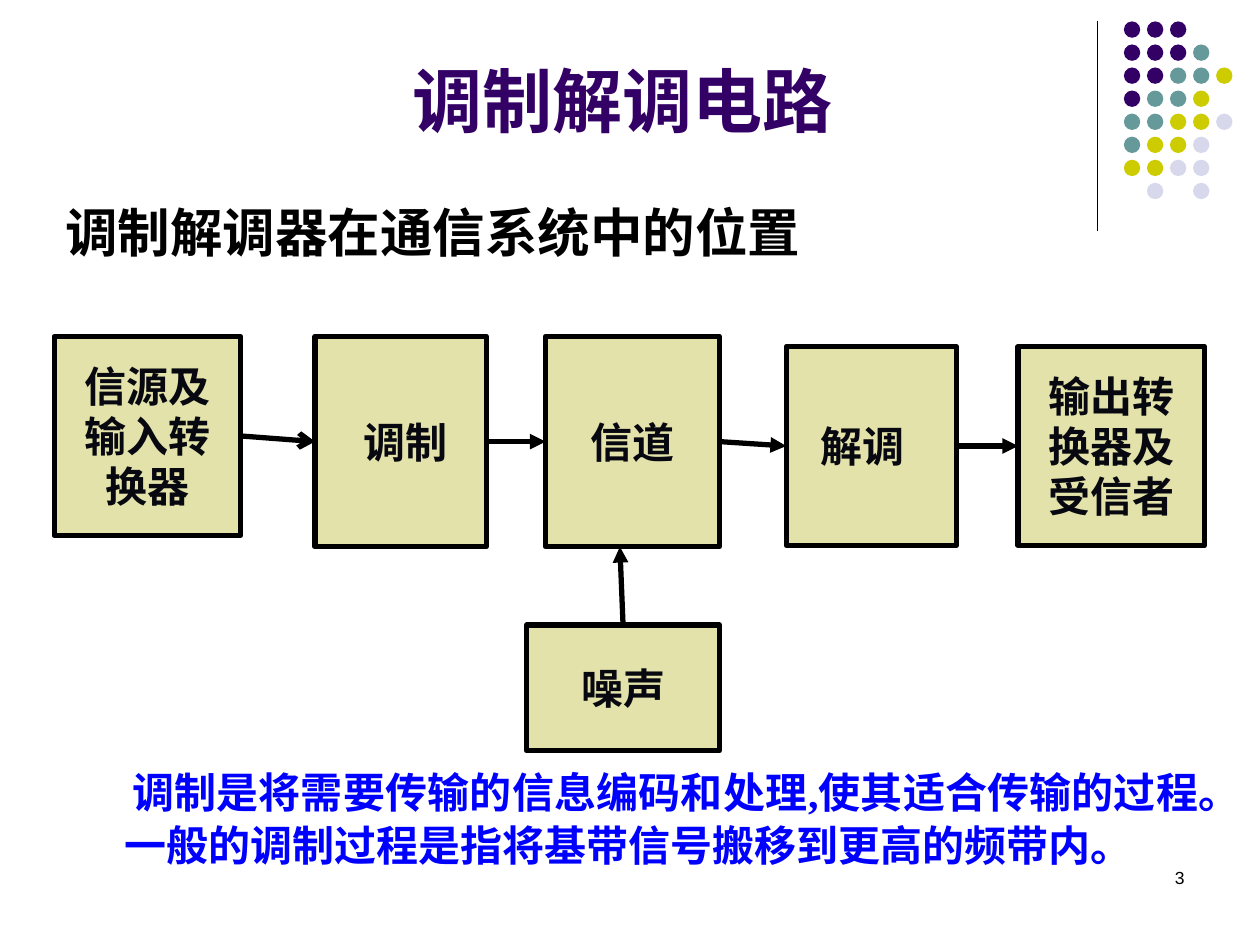
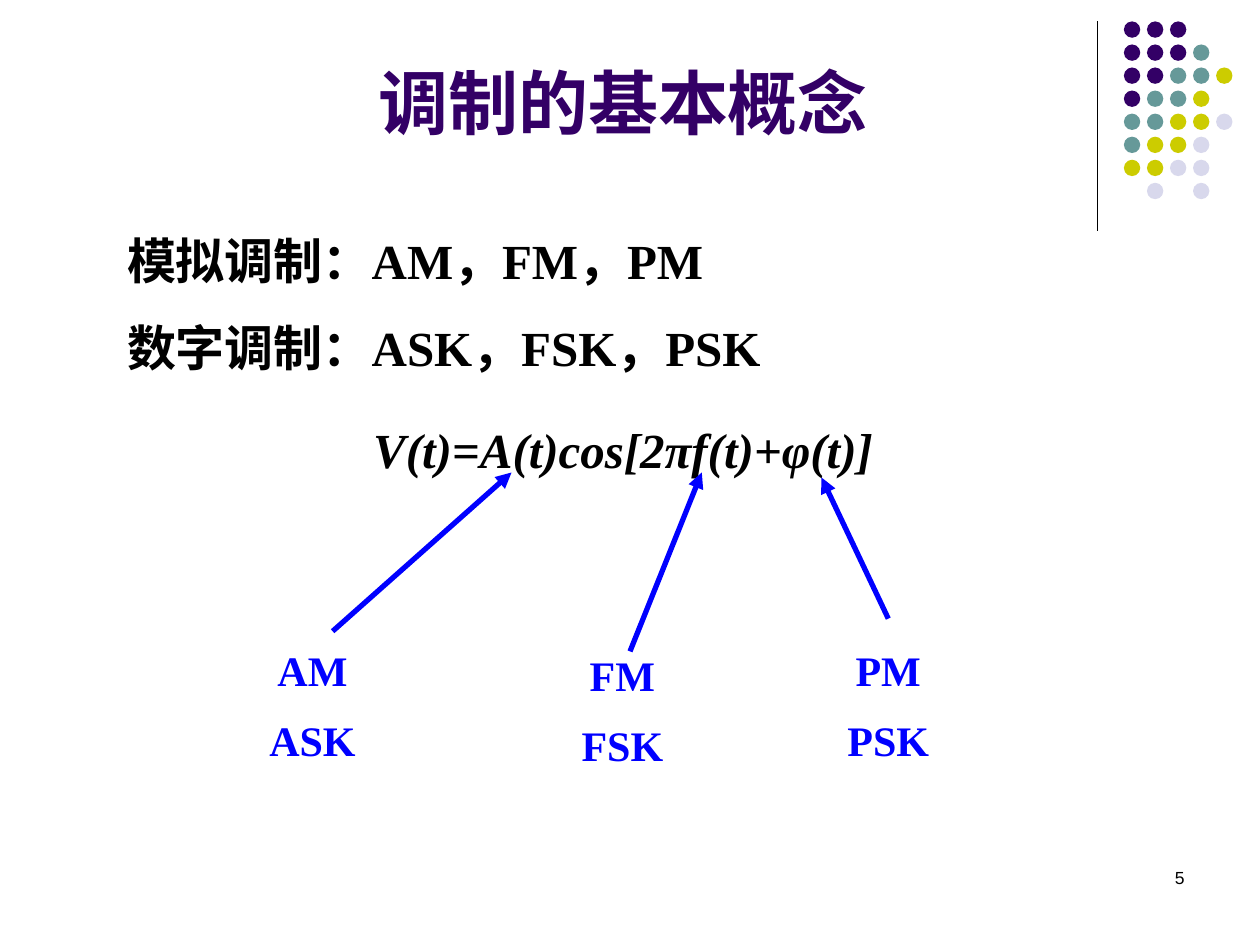
from itertools import pairwise

from lxml import etree
from pptx import Presentation
from pptx.dml.color import RGBColor
from pptx.enum.shapes import MSO_CONNECTOR, MSO_SHAPE
from pptx.enum.text import MSO_ANCHOR, PP_ALIGN
from pptx.oxml.ns import qn
from pptx.util import Inches, Pt

PURPLE, TEAL, OLIVE, LAVENDER = "330066", "669999", "CCCC00", "D8D8EC"
BLACK, BLUE, BLOCK_FILL, BLOCK_TEXT = "000000", "0000FF", "E2E2AA", "080810"
SERIF, SANS, CHINESE = "Times New Roman", "Arial", "Noto Sans CJK SC"
LEFT, CENTER, RIGHT, JUSTIFY = (
    PP_ALIGN.LEFT, PP_ALIGN.CENTER, PP_ALIGN.RIGHT, PP_ALIGN.JUSTIFY)
TOP, MIDDLE, BOTTOM = 0, 1, 2
ANCHORS = [MSO_ANCHOR.TOP, MSO_ANCHOR.MIDDLE, MSO_ANCHOR.BOTTOM]
SIDE_TOP, SIDE_LEFT, SIDE_RIGHT = 0, 1, 3

DOT_COLORS = {"P": PURPLE, "T": TEAL, "O": OLIVE, "L": LAVENDER}
DOT_ROWS = ["PPP", "PPPT", "PPTTO", "PTTO", "TTOOL", "TOOL", "OOLL", " L L"]


def rgb(color):
    return RGBColor.from_string(color)


def inches(lengths):
    return [Inches(length) for length in lengths]


def write(shape, text, size=24, font=SERIF, color=BLACK, bold=True, italic=False,
          align=LEFT, anchor=TOP, spacing=None, inset=0.1, bottom=0.05,
          margin=0, indent=0):
    """Fill a shape with text, one paragraph for each line."""
    frame = shape.text_frame
    frame.word_wrap = True
    frame.vertical_anchor = ANCHORS[anchor]
    frame.margin_left, frame.margin_bottom = Inches(inset), Inches(bottom)
    frame.text = text
    for paragraph in frame.paragraphs:
        paragraph.alignment = align
        if spacing:
            paragraph.line_spacing = Pt(spacing)
        if margin or indent:
            properties = paragraph._p.get_or_add_pPr()
            properties.set("marL", str(Inches(margin)))
            properties.set("indent", str(Inches(indent)))
        for run in paragraph.runs:
            run.font.name = font
            run.font.size = Pt(size)
            run.font.bold, run.font.italic = bold, italic
            run.font.color.rgb = rgb(color)
            east_asian = etree.SubElement(run._r.get_or_add_rPr(), qn("a:ea"))
            east_asian.set("typeface", CHINESE)


def add_text(slide, box, text, **style):
    write(slide.shapes.add_textbox(*inches(box)), text, **style)


def add_filled(slide, preset, box, fill):
    shape = slide.shapes.add_shape(preset, *inches(box))
    shape.shadow.inherit = False
    shape.fill.solid()
    shape.fill.fore_color.rgb = rgb(fill)
    shape.line.fill.background()
    return shape


def add_line(slide, start, end, color=BLACK, width=3, head="triangle"):
    line = slide.shapes.add_connector(
        MSO_CONNECTOR.STRAIGHT, *inches(start), *inches(end))
    line.line.color.rgb = rgb(color)
    line.line.width = Pt(width)
    if head:
        tail_end = etree.SubElement(line.line._get_or_add_ln(), qn("a:tailEnd"))
        tail_end.set("type", head)
    etree.SubElement(line._element.spPr, qn("a:effectLst"))
    return line


def add_dots(slide, left, top, step=0.183, diameter=0.13):
    for row, colors in enumerate(DOT_ROWS):
        for column, key in enumerate(colors):
            if key in DOT_COLORS:
                box = (left + column * step, top + row * step, diameter, diameter)
                add_filled(slide, MSO_SHAPE.OVAL, box, DOT_COLORS[key])


def add_base(deck, title, title_box, number):
    """Add a slide with the corner decoration, title and page number."""
    slide = deck.slides.add_slide(deck.slide_layouts[6])
    add_line(slide, (8.71, 0.17), (8.71, 1.83), width=0.75, head=None)
    add_dots(slide, 8.92, 0.17)
    add_text(slide, (7.17, 6.83, 2.33, 0.5), number, size=10, font=SANS,
             bold=False, align=RIGHT)
    add_text(slide, title_box, title, size=40, font=CHINESE, color=PURPLE,
             align=CENTER, anchor=BOTTOM, spacing=48, bottom=0)
    return slide


def add_block(slide, box, label, align=CENTER, inset=0.1):
    block = add_filled(slide, MSO_SHAPE.RECTANGLE, box, BLOCK_FILL)
    block.line.color.rgb = rgb(BLACK)
    block.line.width = Pt(3)
    write(block, label, color=BLOCK_TEXT, align=align, anchor=MIDDLE,
          spacing=28.6, inset=inset)
    return block


def add_system_diagram(slide, left, top):
    """Draw the chain from source to receiver, with noise entering the channel."""
    def block(x, y, width, height, label, **style):
        return add_block(slide, (left + x, top + y, width, height), label, **style)

    chain = [
        block(0, 0, 1.48, 1.58, "信源及\n输入转\n换器"),
        block(2.07, 0, 1.36, 1.67, "调制", inset=0.18),
        block(3.9, 0, 1.38, 1.67, "信道"),
        block(5.81, 0.08, 1.35, 1.58, "解调", align=LEFT, inset=0.27),
        block(7.65, 0.08, 1.48, 1.58, "输出转\n换器及\n受信者"),
    ]
    noise = block(3.75, 2.29, 1.53, 1, "噪声")
    heads = ["arrow"] + ["triangle"] * 3
    for (sender, receiver), head in zip(pairwise(chain), heads):
        arrow = add_line(slide, (0, 0), (1, 1), head=head)
        arrow.begin_connect(sender, SIDE_RIGHT)
        arrow.end_connect(receiver, SIDE_LEFT)
    noise_arrow = add_line(slide, (left + 4.49, top + 2.29), (left + 4.49, top + 1.67))
    noise_arrow.begin_connect(noise, SIDE_TOP)


def add_parameter(slide, box, kinds, start, end):
    """Name the modulations that vary one term of the formula, and point at it."""
    left, top, width, height = box
    add_text(slide, box, kinds, color=BLUE, align=CENTER, spacing=40)
    add_line(slide, (left + start[0], top + start[1]),
             (left + end[0], top + end[1]), color=BLUE)


def build_system_slide(deck):
    slide = add_base(deck, "调制解调电路", (2.66, 0.25, 4.56, 0.87), "3")
    add_text(slide, (0.42, 1.5, 8.83, 0.68), "调制解调器在通信系统中的位置",
             size=30, font=SANS, spacing=39)
    add_system_diagram(slide, 0.43, 2.67)
    add_text(slide, (0.22, 6.02, 9.39, 0.94),
             "调制是将需要传输的信息编码和处理,使其适合传输的过程。"
             "一般的调制过程是指将基带信号搬移到更高的频带内。",
             color=BLUE, align=JUSTIFY, spacing=30, margin=0.67, indent=0.06)


def build_concept_slide(deck):
    slide = add_base(deck, "调制的基本概念", (2.74, 0.37, 4.41, 0.77), "5")
    add_text(slide, (1.57, 3.28, 6.75, 0.57), "V(t)=A(t)cos[2πf(t)+φ(t)]",
             size=28, italic=True, align=CENTER)
    add_text(slide, (0.91, 1.55, 6.61, 1.42),
             "模拟调制：AM，FM，PM\n数字调制：ASK，FSK，PSK", size=28, spacing=50)
    parameters = [
        (1.85, 4.91, "AM\nASK", (0.79, 0.1), (2.21, -1.16)),
        (4.31, 4.95, "FM\nFSK", (0.69, 0.22), (1.26, -1.2)),
        (6.42, 4.91, "PM\nPSK", (0.63, 0), (0.1, -1.12)),
    ]
    for left, top, kinds, start, end in parameters:
        add_parameter(slide, (left, top, 1.26, 1.22), kinds, start, end)


def main():
    deck = Presentation()
    deck.slide_width, deck.slide_height = Inches(10), Inches(7.5)
    build_system_slide(deck)
    build_concept_slide(deck)
    deck.save("out.pptx")


if __name__ == "__main__":
    main()
